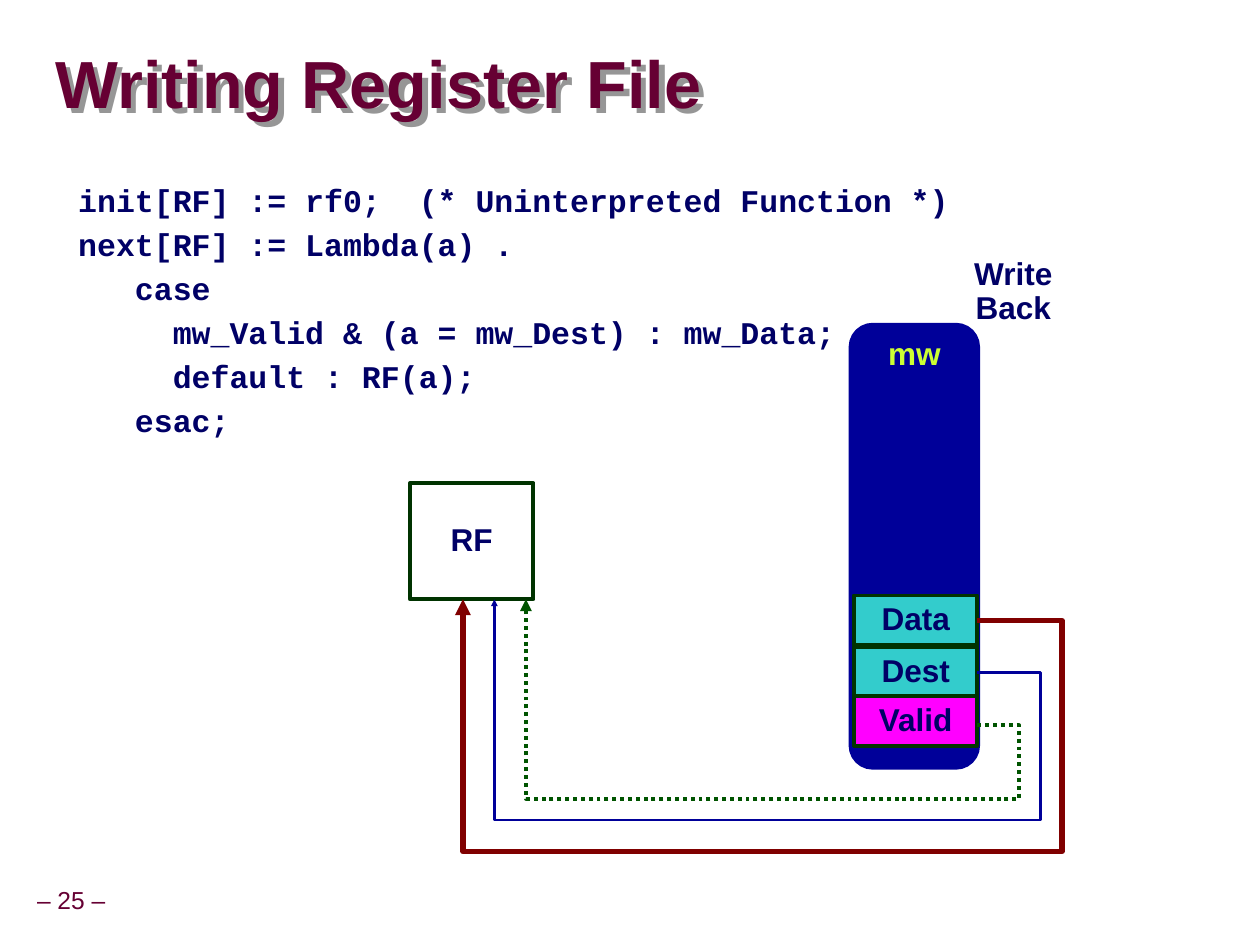
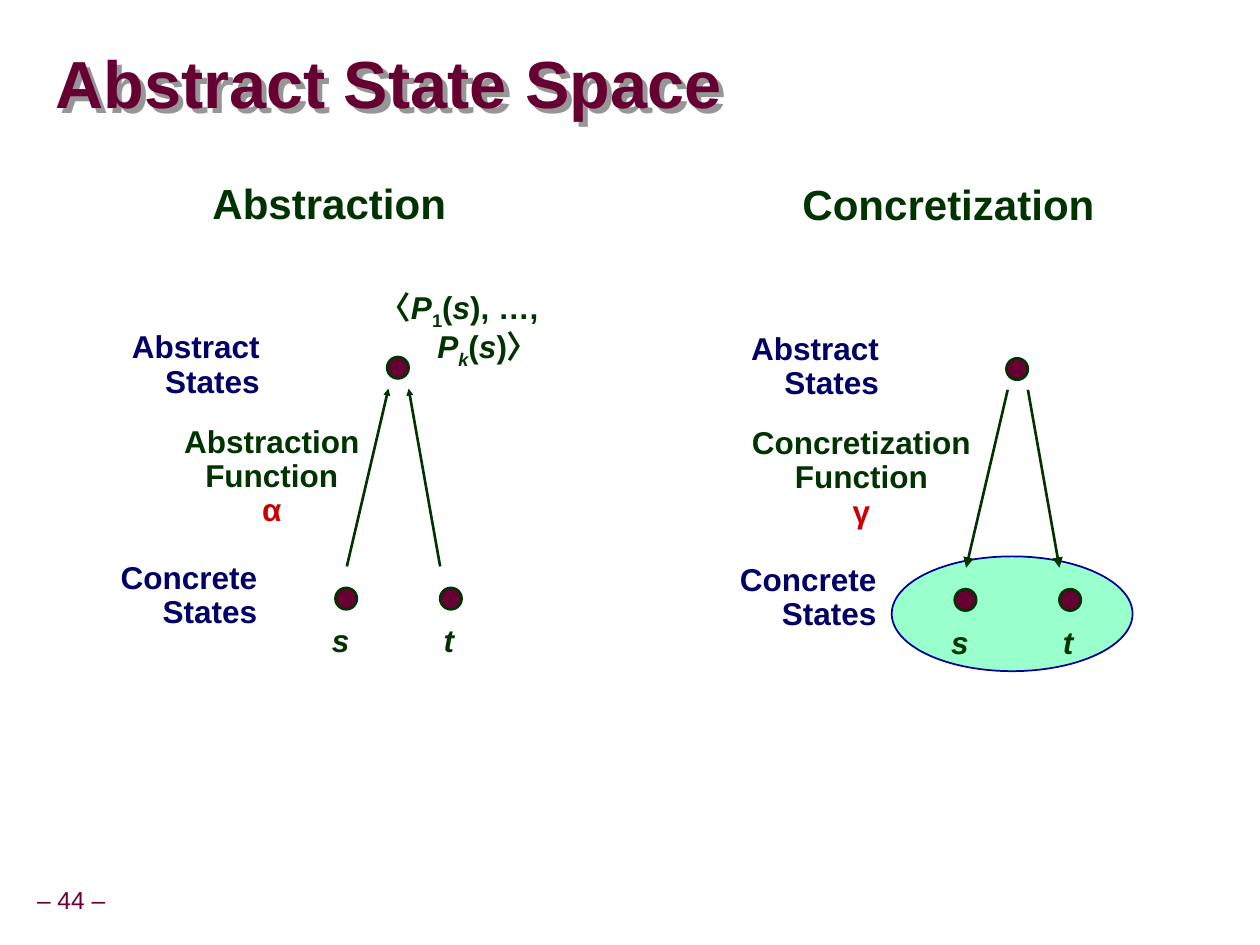
from dataclasses import dataclass

from lxml.etree import SubElement
from pptx import Presentation
from pptx.dml.color import RGBColor
from pptx.enum.dml import MSO_LINE_DASH_STYLE as Dash
from pptx.enum.shapes import MSO_CONNECTOR, MSO_SHAPE as Shape
from pptx.enum.text import MSO_ANCHOR as Anchor, MSO_AUTO_SIZE as AutoSize, PP_ALIGN as Align
from pptx.oxml.ns import qn
from pptx.util import Inches, Pt


@dataclass(frozen=True)
class Theme:
    maroon: str = "660033"
    navy: str = "000066"
    blue: str = "000099"
    forest: str = "003300"
    green: str = "005400"
    dark_red: str = "800000"
    red: str = "CC0000"
    lime: str = "CCFF33"
    teal: str = "33CCCC"
    magenta: str = "FF00FF"
    mint: str = "99FFCC"
    white: str = "FFFFFF"
    shadow: str = "969696"
    sans: str = "Arial"
    mono: str = "Courier New"
    title_size: int = 38
    heading_size: int = 24
    text_size: int = 18
    number_size: int = 14
    line_spacing: float = 0.9
    margin: float = 0.05


THEME = Theme()

CODE = [
    "init[RF] := rf0;  (* Uninterpreted Function *)",
    "next[RF] := Lambda(a) .",
    "   case",
    "     mw_Valid & (a = mw_Dest) : mw_Data;",
    "     default : RF(a);",
    "   esac;",
]

# label, top, fill
FIELDS = [
    ("Valid", 5.52, THEME.magenta),
    ("Dest", 5.13, THEME.teal),
    ("Data", 4.72, THEME.teal),
]

# start y, right x, bottom y, end x, colour, width, dash, arrow size
WIRES = [
    (5.75, 8.08, 6.33, 4.17, THEME.green, 2.25, Dash.ROUND_DOT, "med"),
    (5.33, 8.25, 6.5, 3.92, THEME.blue, 1.5, None, "sm"),
    (4.92, 8.42, 6.75, 3.67, THEME.dark_red, 3, None, "med"),
]
WIRE_START_X, RF_BOTTOM = 7.75, 4.75

ITALIC = {"italic": True}
TUPLE = [
    ("〈", {}), ("P", ITALIC), ("1", {"baseline": -25}), ("(", {}), ("s", ITALIC),
    ("), …, ", {}), ("P", ITALIC), ("k", {"italic": True, "baseline": -25}),
    ("(", {}), ("s", ITALIC), (")〉", {}),
]

PANELS = [
    {"name": "Abstraction", "symbol": "α", "offset": (0, 0), "function_left": 1.41,
     "function_width": 1.49, "upward": True},
    {"name": "Concretization", "symbol": "γ", "offset": (4.91, 0.01), "function_left": 5.91,
     "function_width": 1.84, "upward": False},
]
# label, left, top, width
STATE_LABELS = [("Abstract", 1, 2.58, 1.11), ("Concrete", 0.91, 4.41, 1.18)]
# name, dot left, label left, label width, arrow bottom x, arrow top x
STATES = [("s", 2.66, 2.58, 0.24, 2.75, 3.08), ("t", 3.49, 3.47, 0.18, 3.49, 3.24)]
DOT_SIZE = 0.17


def rgb(color):
    return RGBColor.from_string(color)


def box(*lengths):
    return [Inches(length) for length in lengths]


def write(shape, paragraphs, color, size=THEME.text_size, font=THEME.sans, bold=True,
          align=Align.CENTER, anchor=Anchor.TOP, wrap=False, margin=THEME.margin,
          spacing=THEME.line_spacing, space_before=0):
    """Fill a shape with paragraphs, each a string or a list of (text, formats) runs."""
    frame = shape.text_frame
    settings = {"word_wrap": wrap, "auto_size": AutoSize.NONE, "vertical_anchor": anchor}
    settings |= {f"margin_{side}": Inches(margin) for side in ("left", "top", "right", "bottom")}
    for name, value in settings.items():
        setattr(frame, name, value)
    for index, content in enumerate(paragraphs):
        paragraph = frame.add_paragraph() if index else frame.paragraphs[0]
        paragraph.alignment = align
        paragraph.line_spacing = spacing
        paragraph.space_before = Pt(space_before if index else 0)
        for text, formats in [(content, {})] if isinstance(content, str) else content:
            run = paragraph.add_run()
            run.text = text
            values = {"name": font, "size": Pt(size), "bold": bold,
                      "italic": formats.get("italic", False)}
            for name, value in values.items():
                setattr(run.font, name, value)
            run.font.color.rgb = rgb(formats.get("color", color))
            if "baseline" in formats:
                run.font._element.set("baseline", str(formats["baseline"] * 1000))


def add_text(slide, place, paragraphs, color, **formats):
    write(slide.shapes.add_textbox(*box(*place)), paragraphs, color, **formats)


def add_block(slide, kind, place, fill, line, line_width):
    shape = slide.shapes.add_shape(kind, *box(*place))
    shape.shadow.inherit = False
    shape.fill.solid()
    shape.fill.fore_color.rgb = rgb(fill)
    shape.line.color.rgb = rgb(line)
    shape.line.width = Pt(line_width)
    return shape


def style_arrow(shape, color, width, size, dash=None):
    shape.line.color.rgb = rgb(color)
    shape.line.width = Pt(width)
    if dash:
        shape.line.dash_style = dash
    outline = shape._element.spPr.find(qn("a:ln"))
    SubElement(outline, qn("a:tailEnd"), type="triangle", w=size, len=size)


def add_arrow(slide, start, end, size):
    arrow = slide.shapes.add_connector(MSO_CONNECTOR.STRAIGHT, *box(*start, *end))
    style_arrow(arrow, THEME.forest, 1.5, size)
    SubElement(arrow._element.spPr, qn("a:effectLst"))


def start_slide(presentation, title, number):
    """Add a slide with the shared shadowed title and page number."""
    slide = presentation.slides.add_slide(presentation.slide_layouts[5])
    heading = slide.shapes.title
    heading.left, heading.top, heading.width, heading.height = box(0.44, 0.27, 9.52, 0.85)
    write(heading, [title], THEME.maroon, size=THEME.title_size, align=Align.LEFT,
          anchor=Anchor.MIDDLE, wrap=True, margin=0, spacing=0.87)
    heading.shadow.inherit = False
    effects = heading._element.spPr.find(qn("a:effectLst"))
    shadow = SubElement(effects, qn("a:outerShdw"), dist=str(Inches(0.06)), dir="2700000",
                        algn="ctr", rotWithShape="0")
    SubElement(shadow, qn("a:srgbClr"), val=THEME.shadow)
    add_text(slide, (-0.09, 6.99, 1.31, 0.31), [f"– {number} –"], THEME.maroon,
             size=THEME.number_size, bold=False, anchor=Anchor.MIDDLE)
    return slide


def build_register_slide(presentation):
    slide = start_slide(presentation, "Writing Register File", 25)
    register = add_block(slide, Shape.ROUNDED_RECTANGLE, (6.75, 2.58, 1, 3.5),
                         THEME.blue, THEME.blue, 3)
    register.adjustments[0] = 0.17
    write(register, ["mw"], THEME.lime)
    cells = [(label, (6.77, top, 0.98, 0.39), fill) for label, top, fill in FIELDS]
    cells.append(("RF", (3.25, 3.83, 0.98, 0.92), THEME.white))
    for label, place, fill in cells:
        cell = add_block(slide, Shape.RECTANGLE, place, fill, THEME.forest, 2.25)
        write(cell, [label], THEME.navy, anchor=Anchor.MIDDLE)
    add_text(slide, (7.67, 2, 0.73, 0.64), ["Write", "Back"], THEME.navy)
    for start_y, right, bottom, end_x, color, width, dash, size in WIRES:
        builder = slide.shapes.build_freeform(*box(WIRE_START_X, start_y))
        corners = [(right, start_y), (right, bottom), (end_x, bottom), (end_x, RF_BOTTOM)]
        builder.add_line_segments([box(*corner) for corner in corners], close=False)
        wire = builder.convert_to_shape()
        wire.shadow.inherit = False
        wire.fill.background()
        style_arrow(wire, color, width, size, dash)
    add_text(slide, (0.57, 1.42, 8.52, 2.11), CODE, THEME.navy, font=THEME.mono,
             align=Align.LEFT, wrap=True, space_before=5.6)


def add_dot(slide, left, top):
    add_block(slide, Shape.OVAL, (left, top, DOT_SIZE, DOT_SIZE),
              THEME.maroon, THEME.forest, 1.5)


def add_panel(slide, panel):
    dx, dy = panel["offset"]
    upward = panel["upward"]
    add_text(slide, (1.4 + dx, 1.4 + dy, 2.42, 0.46), [panel["name"]], THEME.forest,
             size=THEME.heading_size)
    for label, left, top, width in STATE_LABELS:
        add_text(slide, (left + dx, top + dy, width, 0.64), [label, "States"], THEME.navy,
                 align=Align.RIGHT)
    add_text(slide, (panel["function_left"], 3.33 + dy, panel["function_width"], 0.91),
             [panel["name"], "Function", [(panel["symbol"], {"color": THEME.red})]],
             THEME.forest)
    if upward:
        add_text(slide, (2.42, 2.24, 1.9, 0.41), [TUPLE], THEME.forest,
                 align=Align.RIGHT, wrap=True)
    else:
        add_block(slide, Shape.OVAL, (7.07, 4.41, 1.91, 0.91), THEME.mint, THEME.blue, 1)
    add_dot(slide, 3.07 + dx, 2.83 + dy)
    for name, dot_left, label_left, label_width, bottom_x, top_x in STATES:
        add_dot(slide, dot_left + dx, 4.66 + dy)
        add_text(slide, (label_left + dx, 4.91 + dy, label_width, 0.37), [[(name, ITALIC)]],
                 THEME.forest, align=Align.RIGHT)
        concrete, abstract = (bottom_x + dx, 4.49 + dy), (top_x + dx, 3.08 + dy)
        if upward:
            add_arrow(slide, concrete, abstract, "sm")
        else:
            add_arrow(slide, abstract, concrete, "med")


def build_abstraction_slide(presentation):
    slide = start_slide(presentation, "Abstract State Space", 44)
    for panel in PANELS:
        add_panel(slide, panel)


def main():
    presentation = Presentation()
    presentation.slide_width, presentation.slide_height = box(9.99, 7.49)
    build_register_slide(presentation)
    build_abstraction_slide(presentation)
    presentation.save("out.pptx")


if __name__ == "__main__":
    main()
